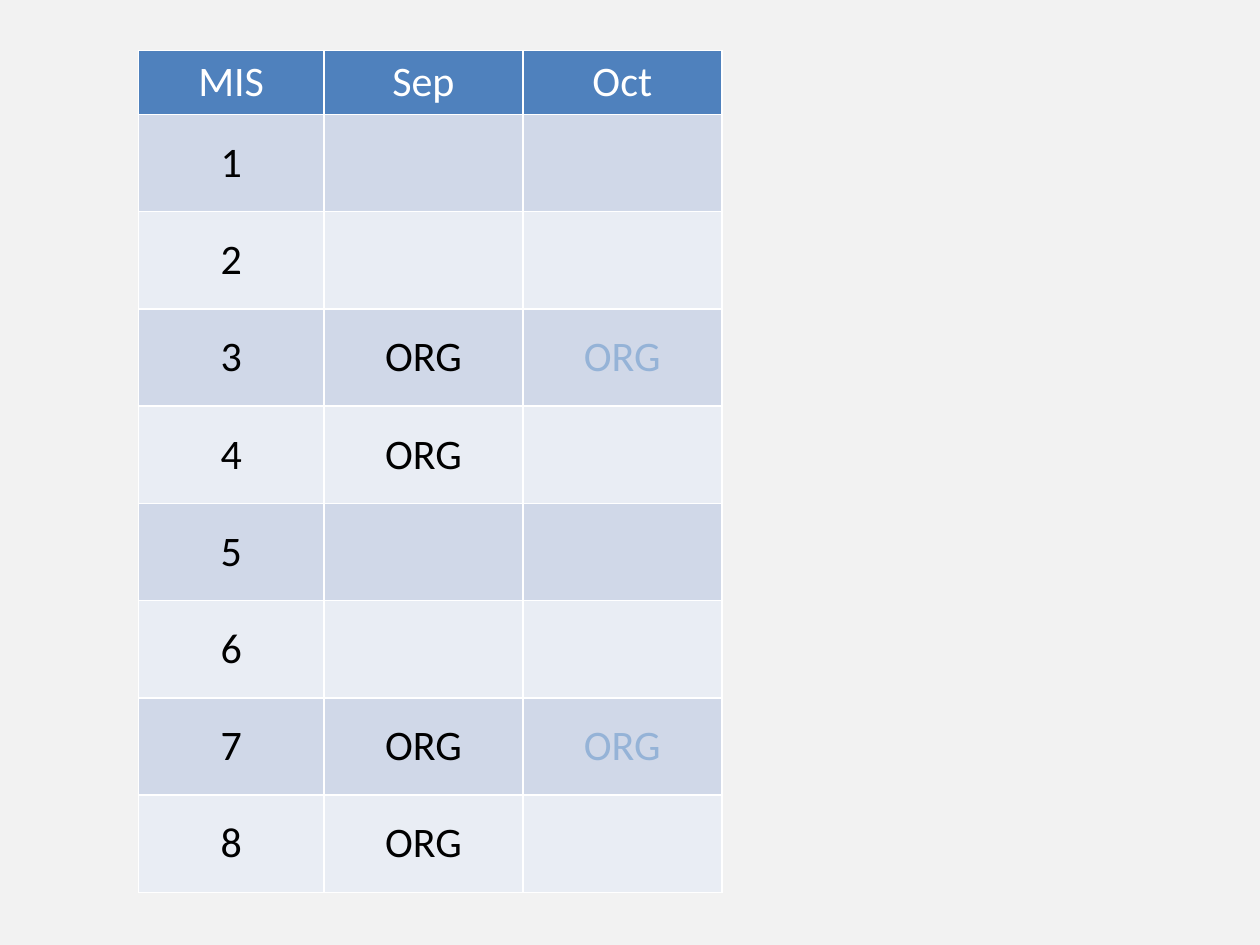
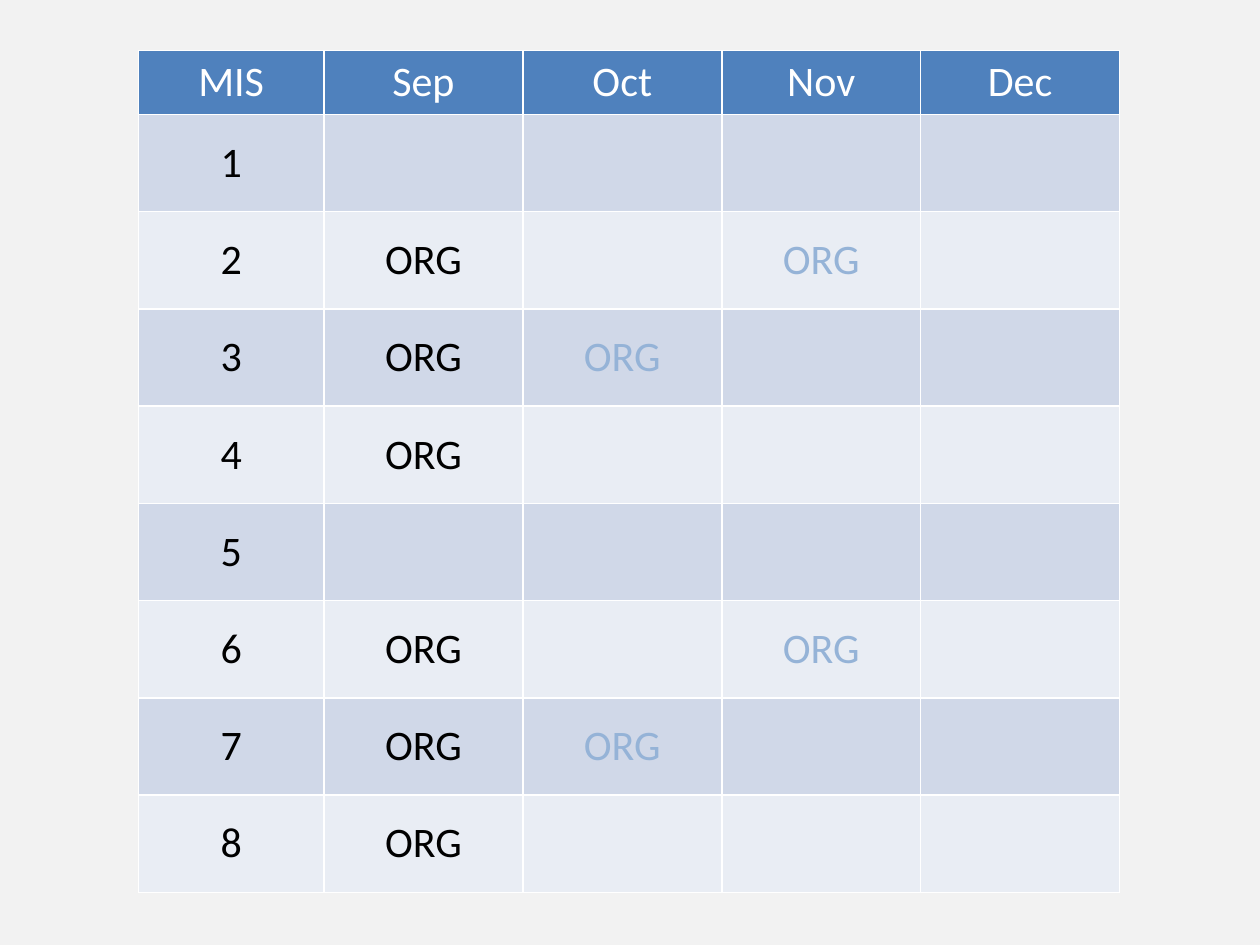
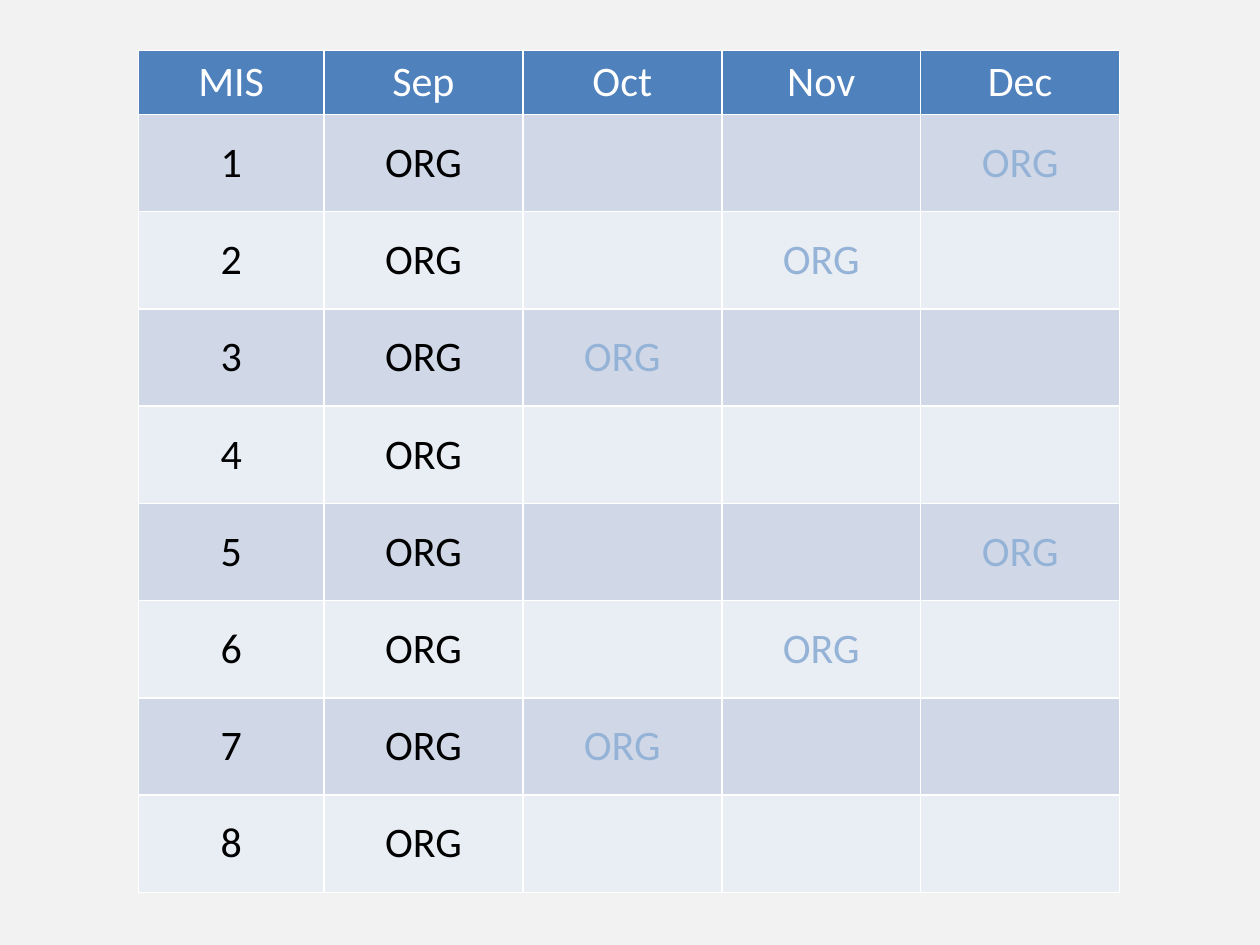
from dataclasses import dataclass

from lxml.etree import SubElement
from pptx import Presentation
from pptx.dml.color import RGBColor
from pptx.enum.text import MSO_ANCHOR, PP_ALIGN
from pptx.oxml.ns import qn
from pptx.table import _Cell
from pptx.util import Cm, Pt

# Shared look
BACKGROUND = "F2F2F2"
HEADER_FILL = "4F81BD"
BAND_FILLS = ("D0D8E8", "E9EDF4")
BORDER = "FFFFFF"
HEADER_TEXT = "FFFFFF"
TEXT = "000000"
REPEAT_TEXT = "95B3D7"
FONT_FORMAT = {"name": "Calibri", "size": Pt(24), "bold": False}
PLAIN_TABLE = {"first_row": False, "horz_banding": False}

# Table grid
TABLE_LEFT, TABLE_TOP, TABLE_HEIGHT = Cm(2.79), Cm(1.02), Cm(16.94)
MIS_WIDTH, MONTH_WIDTH = Cm(3.74), Cm(4.01)
HEADER_HEIGHT, ROW_HEIGHT = Cm(1.09), Cm(1.96)
MIS_COUNT = 8
ENTRY = "ORG"


@dataclass(frozen=True)
class Schedule:
    months: tuple[str, ...]
    first_entries: tuple[int, ...]      # MIS numbers entered in the first month
    repeats: dict[int, str]             # MIS number -> month of its repeat


SCHEDULES = (
    Schedule(("Sep", "Oct"), (3, 4, 7, 8), {3: "Oct", 7: "Oct"}),
    Schedule(("Sep", "Oct", "Nov", "Dec"), (2, 3, 4, 6, 7, 8),
             {2: "Nov", 3: "Oct", 6: "Nov", 7: "Oct"}),
    Schedule(("Sep", "Oct", "Nov", "Dec"), tuple(range(1, MIS_COUNT + 1)),
             {1: "Dec", 2: "Nov", 3: "Oct", 5: "Dec", 6: "Nov", 7: "Oct"}),
)


def color(hex_code: str) -> RGBColor:
    return RGBColor.from_string(hex_code)


def apply_format(target: object, values: dict) -> None:
    for attribute, value in values.items():
        setattr(target, attribute, value)


def draw_borders(cell: _Cell) -> None:
    properties = cell._tc.get_or_add_tcPr()
    for side in ("a:lnL", "a:lnR", "a:lnT", "a:lnB"):
        line = SubElement(properties, qn(side), w=str(Pt(1)))
        fill = SubElement(line, qn("a:solidFill"))
        SubElement(fill, qn("a:srgbClr"), val=BORDER)


def fill_cell(cell: _Cell, text: str, text_color: str, fill: str) -> None:
    draw_borders(cell)
    cell.fill.solid()
    cell.fill.fore_color.rgb = color(fill)
    cell.vertical_anchor = MSO_ANCHOR.MIDDLE
    if text:
        paragraph = cell.text_frame.paragraphs[0]
        paragraph.alignment = PP_ALIGN.CENTER
        run = paragraph.add_run()
        run.text = text
        apply_format(run.font, FONT_FORMAT)
        run.font.color.rgb = color(text_color)


def schedule_entry(schedule: Schedule, mis: int, month: str) -> tuple[str, str]:
    """Return the text and text colour for one MIS in one month."""
    if month == schedule.months[0] and mis in schedule.first_entries:
        return ENTRY, TEXT
    if schedule.repeats.get(mis) == month:
        return ENTRY, REPEAT_TEXT
    return "", TEXT


def add_schedule(prs: Presentation, schedule: Schedule) -> None:
    slide = prs.slides.add_slide(prs.slide_layouts.get_by_name("Blank"))
    month_count = len(schedule.months)
    frame = slide.shapes.add_table(
        MIS_COUNT + 1, month_count + 1, TABLE_LEFT, TABLE_TOP,
        MIS_WIDTH + month_count * MONTH_WIDTH, TABLE_HEIGHT)
    table = frame.table
    apply_format(table, PLAIN_TABLE)

    # Column widths and row heights
    for index, column in enumerate(table.columns):
        column.width = MONTH_WIDTH if index else MIS_WIDTH
    for index, row in enumerate(table.rows):
        row.height = ROW_HEIGHT if index else HEADER_HEIGHT
    frame.height = TABLE_HEIGHT

    # Header row
    for index, heading in enumerate(("MIS", *schedule.months)):
        fill_cell(table.cell(0, index), heading, HEADER_TEXT, HEADER_FILL)

    # One banded row for each MIS
    for mis in range(1, MIS_COUNT + 1):
        band = BAND_FILLS[(mis - 1) % 2]
        fill_cell(table.cell(mis, 0), str(mis), TEXT, band)
        for index, month in enumerate(schedule.months, start=1):
            entry, entry_color = schedule_entry(schedule, mis, month)
            fill_cell(table.cell(mis, index), entry, entry_color, band)


def main() -> None:
    prs = Presentation()
    prs.slide_width, prs.slide_height = Cm(25.4), Cm(19.05)
    background = prs.slide_master.background.fill
    background.solid()
    background.fore_color.rgb = color(BACKGROUND)
    for schedule in SCHEDULES:
        add_schedule(prs, schedule)
    prs.save("out.pptx")


if __name__ == "__main__":
    main()
